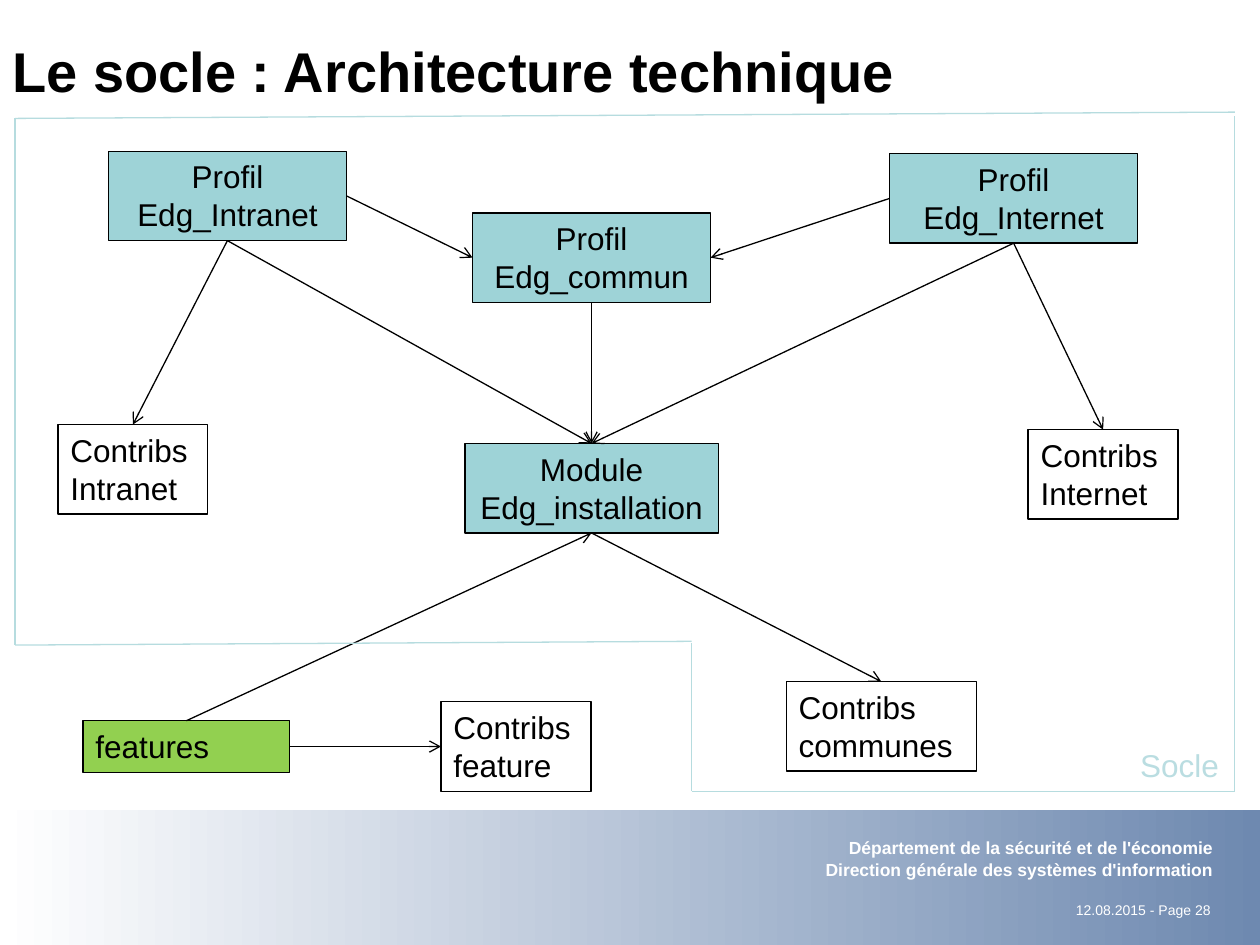
from typing import NamedTuple, Optional

from lxml import etree
from pptx import Presentation
from pptx.dml.color import RGBColor
from pptx.enum.shapes import MSO_CONNECTOR, MSO_SHAPE
from pptx.enum.text import MSO_ANCHOR, PP_ALIGN
from pptx.oxml.ns import qn
from pptx.util import Inches, Pt

LEFT, CENTER, RIGHT = PP_ALIGN.LEFT, PP_ALIGN.CENTER, PP_ALIGN.RIGHT
TOP, MIDDLE = MSO_ANCHOR.TOP, MSO_ANCHOR.MIDDLE
RECTANGLE = MSO_SHAPE.RECTANGLE
STRAIGHT = MSO_CONNECTOR.STRAIGHT
TOP_SIDE, LEFT_SIDE, BOTTOM_SIDE, RIGHT_SIDE = range(4)
BLACK, WHITE, TEAL, GREEN = "000000", "FFFFFF", "9ED3D7", "92D050"
FRAME, SOCLE, FOOTER_BLUE = "B6DCDF", "BADDE1", "6E89B0"
LINE_WIDTH = Pt(0.75)
TWO_LINES = 0.71


class Node(NamedTuple):
    """A labelled box of the diagram."""
    key: str
    text: str
    left: float
    top: float
    width: float
    height: float = TWO_LINES
    fill: Optional[str] = None
    align: PP_ALIGN = LEFT


class Arrow(NamedTuple):
    """An arrow between the sides of two nodes."""
    start: str
    start_side: int
    end: str
    end_side: int


class Label(NamedTuple):
    """A free text without outline."""
    text: str
    left: float
    top: float
    width: float
    height: float
    size: float
    color: str
    bold: bool = False
    align: PP_ALIGN = LEFT


NODES = [
    Node("module", "Module\nEdg_installation", 3.69, 3.52, 2.01, fill=TEAL, align=CENTER),
    Node("intranet", "Profil Edg_Intranet", 0.86, 1.2, 1.89, fill=TEAL, align=CENTER),
    Node("internet", "Profil Edg_Internet", 7.06, 1.22, 1.97, fill=TEAL, align=CENTER),
    Node("commun", "Profil Edg_commun", 3.75, 1.69, 1.89, fill=TEAL, align=CENTER),
    Node("features", "features", 0.66, 5.72, 1.64, 0.41, fill=GREEN),
    Node("contribs feature", "Contribs feature", 3.5, 5.57, 1.19),
    Node("contribs intranet", "Contribs Intranet", 0.46, 3.37, 1.19),
    Node("contribs internet", "Contribs Internet", 8.16, 3.41, 1.19),
    Node("contribs communes", "Contribs communes", 6.24, 5.41, 1.51),
]
ARROWS = [
    Arrow("intranet", BOTTOM_SIDE, "contribs intranet", TOP_SIDE),
    Arrow("intranet", BOTTOM_SIDE, "module", TOP_SIDE),
    Arrow("intranet", RIGHT_SIDE, "commun", LEFT_SIDE),
    Arrow("internet", BOTTOM_SIDE, "contribs internet", TOP_SIDE),
    Arrow("internet", BOTTOM_SIDE, "module", TOP_SIDE),
    Arrow("internet", LEFT_SIDE, "commun", RIGHT_SIDE),
    Arrow("commun", BOTTOM_SIDE, "module", TOP_SIDE),
    Arrow("module", BOTTOM_SIDE, "contribs communes", TOP_SIDE),
    Arrow("features", TOP_SIDE, "module", BOTTOM_SIDE),
    Arrow("features", RIGHT_SIDE, "contribs feature", LEFT_SIDE),
]
FRAME_LINES = [
    (0.12, 0.94, 9.8, 0.89), (0.12, 0.94, 0.12, 5.12), (0.12, 5.12, 5.49, 5.09),
    (9.8, 6.28, 9.8, 0.92), (9.8, 6.28, 5.49, 6.28), (5.49, 6.28, 5.49, 5.1),
]
LABELS = [
    Label("Le socle : Architecture technique", 0, 0, 10, 1.11, 32, BLACK, True),
    Label("Département de la sécurité et de l'économie",
          4.93, 6.59, 4.79, 0.27, 10, WHITE, True, RIGHT),
    Label("Direction générale des systèmes d'information",
          6.29, 6.77, 3.43, 0.27, 10, WHITE, True, RIGHT),
    Label("12.08.2015 - Page 28", 8.34, 7.1, 1.37, 0.24, 8, WHITE, False, RIGHT),
    Label("Socle", 8.95, 5.87, 0.85, 0.4, 18, SOCLE),
]


def rgb(color: str) -> RGBColor:
    """Turn a hex string into a colour."""
    return RGBColor.from_string(color)


def write(box, text: str, size: float, color: str, bold: bool,
          align: PP_ALIGN, anchor: MSO_ANCHOR) -> None:
    """Write wrapped text, one paragraph a line."""
    frame = box.text_frame
    frame.text = text
    frame.word_wrap = True
    frame.vertical_anchor = anchor
    formats = {"name": "Arial", "size": Pt(size), "bold": bold}
    for para in frame.paragraphs:
        para.alignment = align
        for span in para.runs:
            span.font.color.rgb = rgb(color)
            for key, value in formats.items():
                setattr(span.font, key, value)


def add_footer_band(page) -> None:
    """Draw the gradient band at the foot of the page."""
    band = page.shapes.add_shape(RECTANGLE, 0, Inches(6.43), Inches(10), Inches(1.07))
    band.shadow.inherit = False
    band.line.fill.background()
    band.fill.gradient()
    band.fill.gradient_angle = 0
    for stop, color, position in zip(band.fill.gradient_stops, (WHITE, FOOTER_BLUE), (0, 1)):
        stop.color.rgb = rgb(color)
        stop.position = position


def add_label(page, label: Label) -> None:
    """Place a free text."""
    place = map(Inches, (label.left, label.top, label.width, label.height))
    box = page.shapes.add_textbox(*place)
    write(box, label.text, label.size, label.color, label.bold, label.align, MIDDLE)


def add_node(page, node: Node):
    """Draw an outlined box with its text and return it."""
    place = map(Inches, (node.left, node.top, node.width, node.height))
    box = page.shapes.add_shape(RECTANGLE, *place)
    box.shadow.inherit = False
    if node.fill:
        box.fill.solid()
        box.fill.fore_color.rgb = rgb(node.fill)
    else:
        box.fill.background()
    box.line.color.rgb = rgb(BLACK)
    box.line.width = LINE_WIDTH
    write(box, node.text, 18, BLACK, False, node.align, TOP)
    return box


def add_line(page, color: str, ends=(0, 0, 0, 0)):
    """Draw a straight line without shadow and return it."""
    line = page.shapes.add_connector(STRAIGHT, *map(Inches, ends))
    line.line.color.rgb = rgb(color)
    line.line.width = LINE_WIDTH
    etree.SubElement(line._element.spPr, qn("a:effectLst"))
    return line


def add_arrow(page, arrow: Arrow, boxes: dict) -> None:
    """Join two boxes with an open arrowhead at the end."""
    line = add_line(page, BLACK)
    line.begin_connect(boxes[arrow.start], arrow.start_side)
    line.end_connect(boxes[arrow.end], arrow.end_side)
    etree.SubElement(line.line._get_or_add_ln(), qn("a:tailEnd"), type="arrow")


def main() -> None:
    """Build the slide and save it."""
    deck = Presentation()
    deck.slide_width, deck.slide_height = Inches(10), Inches(7.5)
    page = deck.slides.add_slide(deck.slide_layouts[6])
    add_footer_band(page)
    boxes = {node.key: add_node(page, node) for node in NODES}
    for arrow in ARROWS:
        add_arrow(page, arrow, boxes)
    for ends in FRAME_LINES:
        add_line(page, FRAME, ends)
    for label in LABELS:
        add_label(page, label)
    deck.save("out.pptx")


main()
